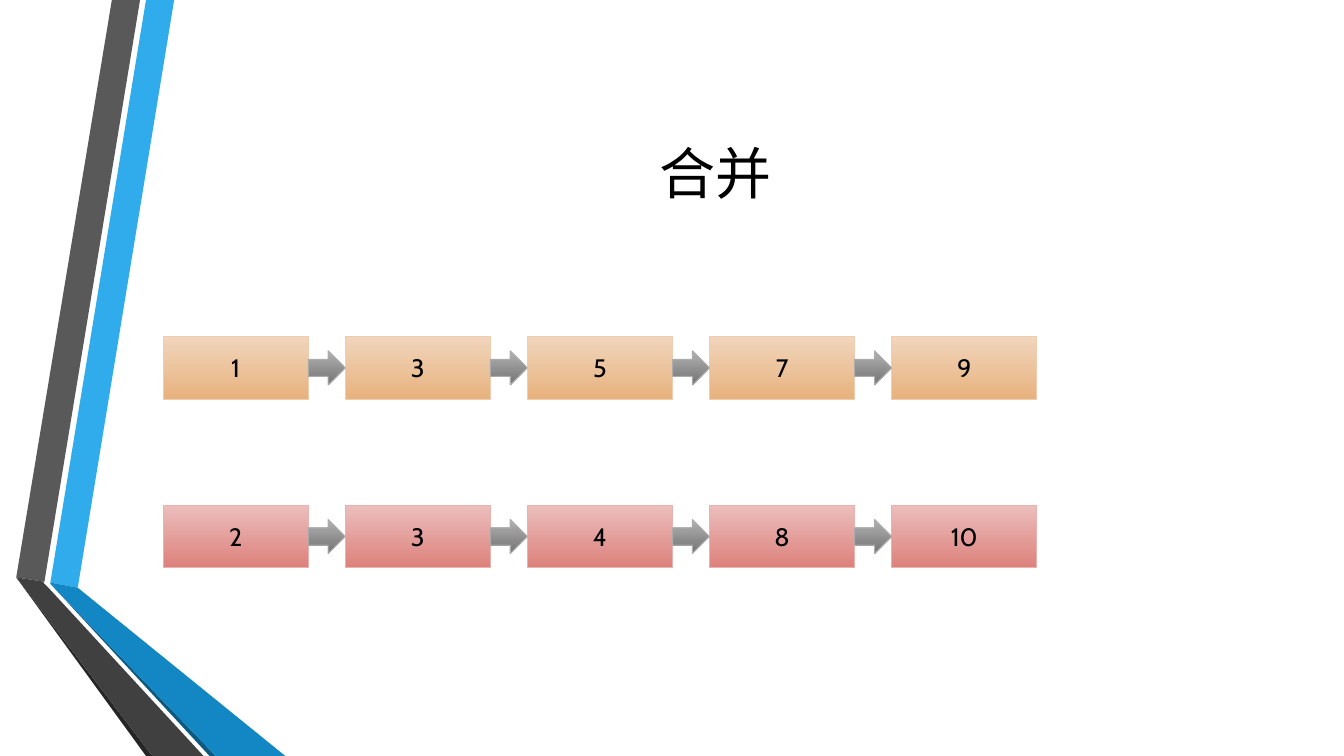
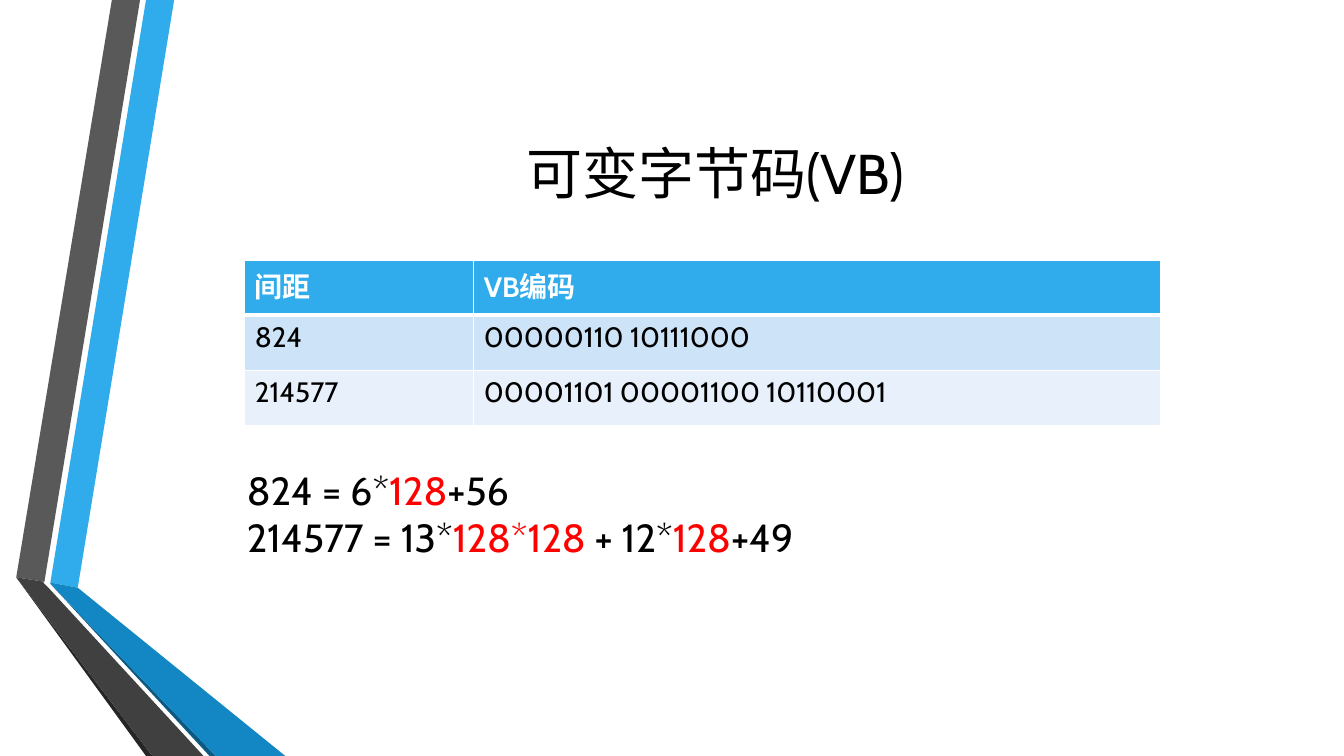
"""Two slides on merging postings lists and variable byte codes."""
from dataclasses import dataclass

from lxml import etree
from pptx import Presentation
from pptx.dml.color import RGBColor
from pptx.enum.shapes import MSO_SHAPE
from pptx.enum.text import MSO_ANCHOR, MSO_AUTO_SIZE, PP_ALIGN
from pptx.oxml.ns import qn
from pptx.util import Cm, Pt

RECT, ARROW = MSO_SHAPE.RECTANGLE, MSO_SHAPE.RIGHT_ARROW
CENTER, LEFT = PP_ALIGN.CENTER, PP_ALIGN.LEFT
MIDDLE = MSO_ANCHOR.MIDDLE
GROW = MSO_AUTO_SIZE.SHAPE_TO_FIT_TEXT
TITLE_ONLY = 5


@dataclass(frozen=True)
class Theme:
    """Colours, font and type sizes of the deck."""

    font: str = "Cabin"
    title_size: int = 40
    formula_size: int = 28
    table_size: int = 20
    box_size: int = 18
    black: str = "000000"
    white: str = "FFFFFF"
    red: str = "FF0000"
    blue: str = "30ACEC"
    blue_mid: str = "1287C3"
    blue_dark: str = "0C5A82"
    gray: str = "595959"
    gray_mid: str = "404040"
    gray_dark: str = "262626"
    bands: tuple = ("CDE3F8", "E8F1FB")
    orange_box: tuple = ("F1D5BD", "E7B27D", "EECCAF")
    red_box: tuple = ("EBBEBC", "DD817C", "E8B2AF")
    arrow: tuple = ("B2B2B2", "737373", "ABABAB")


T = Theme()

RIBBONS = (
    (T.blue, ((127, 1468), (196, 1481), (439, 0), (368, 0))),
    (T.gray, ((353, 0), (282, 0), (41, 1455), (112, 1466))),
    (T.gray_dark, ((41, 1455), (368, 1905), (384, 1905))),
    (T.blue_dark, ((127, 1471), (528, 1905), (544, 1905))),
    (T.blue_mid, ((127, 1471), (544, 1905), (719, 1905), (196, 1481), (127, 1468))),
    (T.gray_mid, ((513, 1905), (122, 1481), (109, 1468), (112, 1466),
                  (41, 1455), (384, 1905))),
)


def rgb(color):
    """Turn a hex string into a colour."""
    return RGBColor.from_string(color)


def format_run(r, size, color=T.black, bold=False):
    """Set font, size, colour and weight of a run."""
    r.font.name = T.font
    r.font.size = Pt(size)
    r.font.bold = bold
    r.font.color.rgb = rgb(color)


def set_text(tf, text, size, color=T.black, bold=False, align=CENTER):
    """Fill a text frame with one formatted paragraph."""
    tf.text = text
    p = tf.paragraphs[0]
    p.alignment = align
    format_run(p.runs[0], size, color, bold)


def add_ribbons(s, layout):
    """Draw the folded ribbons and move them to the shared layout."""
    for color, points in RIBBONS:
        builder = s.shapes.build_freeform(*points[0], scale=Cm(0.01))
        builder.add_line_segments(points[1:], close=True)
        sp = builder.convert_to_shape()
        sp.shadow.inherit = False
        sp.fill.solid()
        sp.fill.fore_color.rgb = rgb(color)
        sp.line.fill.background()
        layout.shapes.element.append(sp.element)


def add_title_slide(prs, title):
    """Add a slide with the formatted title."""
    s = prs.slides.add_slide(prs.slide_layouts[TITLE_ONLY])
    sp = s.shapes.title
    sp.left, sp.top, sp.width, sp.height = Cm(4.11), Cm(1.9), Cm(27.84), Cm(4.88)
    sp.text_frame.vertical_anchor = MIDDLE
    set_text(sp.text_frame, title, T.title_size)
    return s


def add_gradient_shape(s, kind, box, colors):
    """Add a preset shape with a vertical gradient and thin outline."""
    sp = s.shapes.add_shape(kind, *map(Cm, box))
    sp.shadow.inherit = False
    sp.fill.gradient()
    sp.fill.gradient_angle = 270
    for stop, color in zip(sp.fill.gradient_stops, colors):
        stop.color.rgb = rgb(color)
    sp.line.color.rgb = rgb(colors[2])
    sp.line.width = Pt(0.75)
    return sp


def add_chain(s, box, numbers, colors):
    """Spread linked number boxes evenly over the given box."""
    left, top, width, height = box
    gap, arrow_height = 0.93, 0.86
    box_width = (width + gap) / len(numbers) - gap
    for i, number in enumerate(numbers):
        x = left + i * (box_width + gap)
        sp = add_gradient_shape(s, RECT, (x, top, box_width, height), colors)
        sp.text_frame.vertical_anchor = MIDDLE
        set_text(sp.text_frame, str(number), T.box_size)
        if i:
            y = top + (height - arrow_height) / 2
            add_gradient_shape(s, ARROW, (x - gap, y, gap, arrow_height), T.arrow)


def set_borders(cell, widths):
    """Give a cell white borders, widths in points by side."""
    tc_pr = cell._tc.get_or_add_tcPr()
    for side, width in widths.items():
        ln = etree.SubElement(tc_pr, qn(f"a:ln{side}"), w=str(Pt(width)))
        fill = etree.SubElement(ln, qn("a:solidFill"))
        etree.SubElement(fill, qn("a:srgbClr"), val=T.white)


def add_code_table(s, box, rows, first_share):
    """Add the banded table of gaps and their codes."""
    left, top, width, height = box
    table = s.shapes.add_table(len(rows), len(rows[0]), *map(Cm, box)).table
    table.columns[0].width = Cm(width * first_share)
    table.columns[1].width = Cm(width * (1 - first_share))
    for i, row in enumerate(rows):
        header = i == 0
        color = T.white if header else T.black
        band = T.blue if header else T.bands[(i - 1) % 2]
        for j, text in enumerate(row):
            cell = table.cell(i, j)
            set_borders(cell, {"L": 1, "R": 1, "T": 3 if i == 1 else 1,
                               "B": 3 if header else 1})
            cell.fill.solid()
            cell.fill.fore_color.rgb = rgb(band)
            set_text(cell.text_frame, text, T.table_size, color, header, LEFT)


def add_formulas(s, box, lines):
    """Add formula lines made of (text, colour) runs."""
    tf = s.shapes.add_textbox(*map(Cm, box)).text_frame
    tf.word_wrap = True
    tf.auto_size = GROW
    for i, line in enumerate(lines):
        p = tf.add_paragraph() if i else tf.paragraphs[0]
        for text, color in line:
            r = p.add_run()
            r.text = text
            format_run(r, T.formula_size, color)


def build_merge_slide(prs):
    """Build the slide with two lists to merge."""
    s = add_title_slide(prs, "合并")
    add_chain(s, (4.11, 8.48, 22.02, 1.58), (1, 3, 5, 7, 9), T.orange_box)
    add_chain(s, (4.11, 12.73, 22.02, 1.58), (2, 3, 4, 8, 10), T.red_box)
    return s


def build_code_slide(prs):
    """Build the slide on variable byte codes."""
    s = add_title_slide(prs, "可变字节码(VB)")
    add_formulas(s, (5.97, 11.63, 19.6, 2.64), (
        (("824 = 6*", T.black), ("128", T.red), ("+56", T.black)),
        (("214577 = 13*", T.black), ("128*128 ", T.red), ("+ 12*", T.black),
         ("128", T.red), ("+49", T.black)),
    ))
    add_code_table(s, (6.17, 6.55, 23.07, 4.17), (
        ("间距", "VB编码"),
        ("824", "00000110 10111000"),
        ("214577", "00001101 00001100 10110001"),
    ), 0.25)


def main():
    """Build and save the deck."""
    prs = Presentation()
    prs.slide_width, prs.slide_height = Cm(33.87), Cm(19.05)
    s = build_merge_slide(prs)
    add_ribbons(s, prs.slide_layouts[TITLE_ONLY])
    build_code_slide(prs)
    prs.save("out.pptx")


if __name__ == "__main__":
    main()
